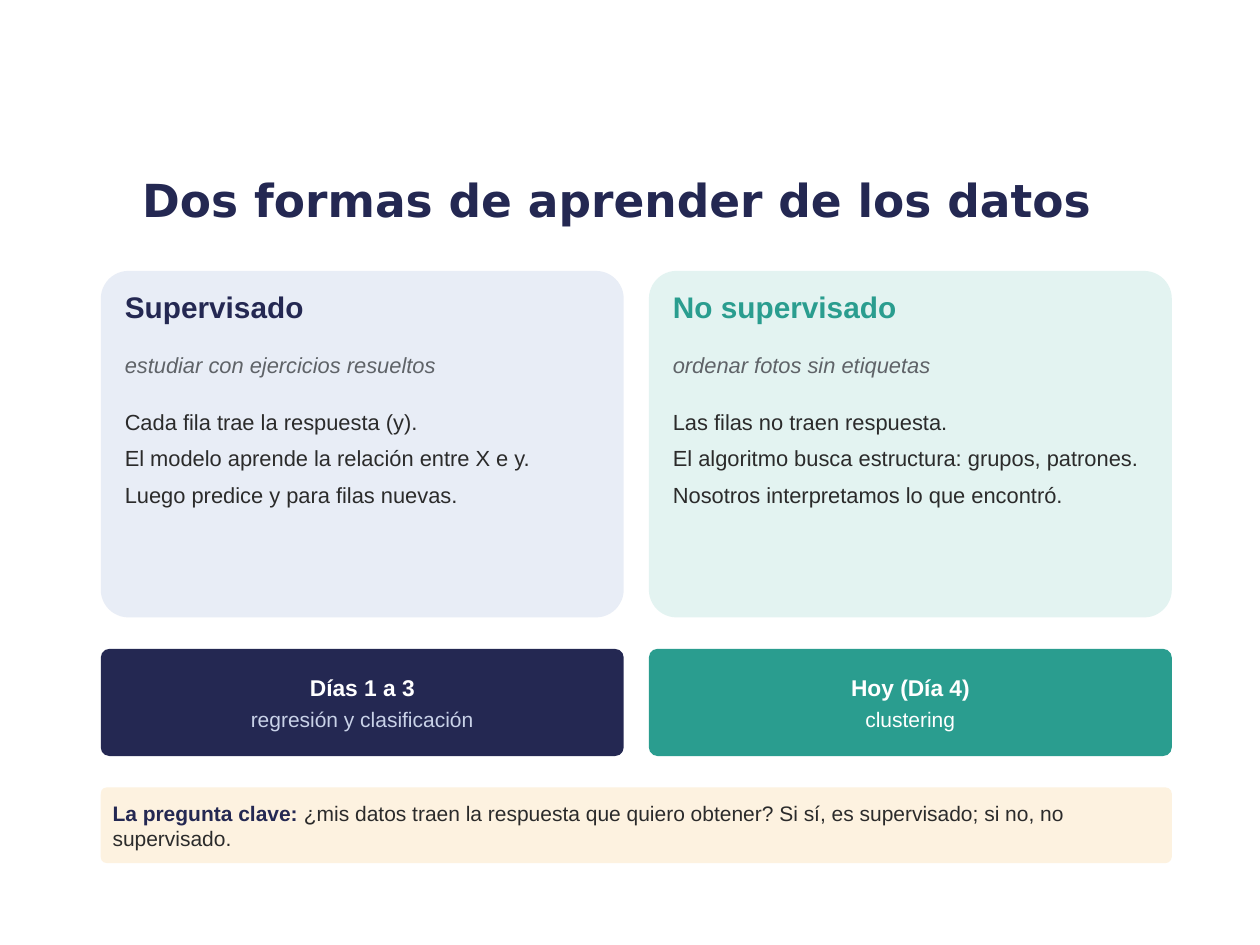
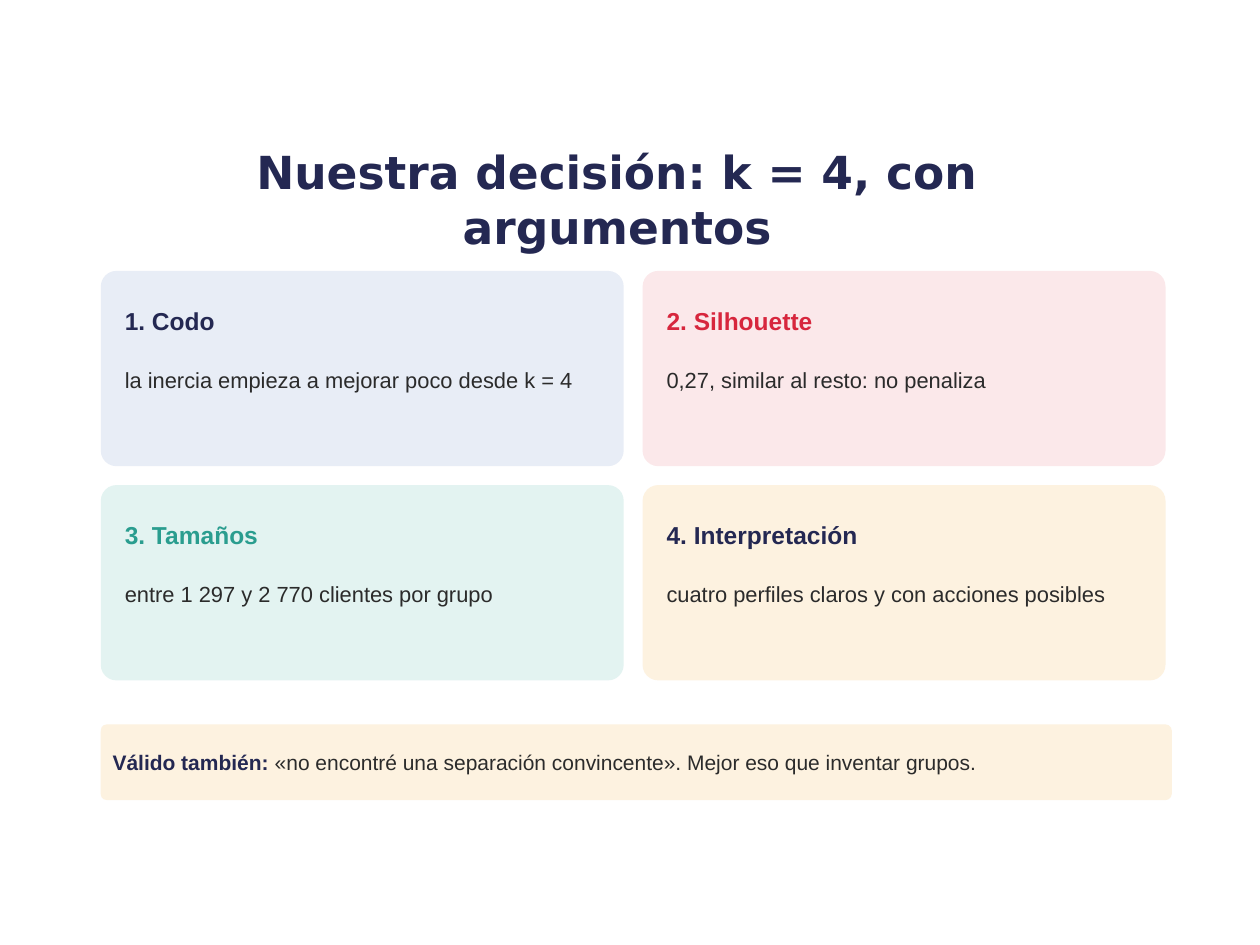
"""Builds two slides on supervised learning, clustering and the choice of k."""
from pptx import Presentation
from pptx.dml.color import RGBColor
from pptx.enum.shapes import MSO_SHAPE
from pptx.enum.text import MSO_ANCHOR, PP_ALIGN
from pptx.util import Inches, Pt

COLOURS = {
    "navy": "242852", "teal": "2A9D8F", "red": "D7263D", "white": "FFFFFF",
    "ink": "2B2B2B", "grey": "5F6368", "mist": "C9D2E8",
    "pale_blue": "E8EDF6", "pale_teal": "E3F3F1",
    "pale_red": "FBE8EA", "cream": "FDF2E0",
}
LEFT, TOP, CARD_WIDTH, FULL_WIDTH = 0.8, 2.15, 4.15, 8.5
PADDING, TEXT_WIDTH = 0.15, 3.85


class SlideBuilder:
    body_font, title_font = "Arial", "DejaVu Sans"

    def __init__(self, deck):
        self.deck = deck
        self.slide = None

    def start(self, title):
        self.slide = self.deck.slides.add_slide(self.deck.slide_layouts[6])
        box = self.slide.shapes.add_textbox(
            Inches(0.75), Inches(1.18), Inches(8.3), Inches(0.8))
        self.fill_text(box, [[(title, 26, "navy", "bold")]], 0, inset=(0.1, 0.05),
                       anchor=MSO_ANCHOR.MIDDLE, align=PP_ALIGN.CENTER,
                       font=self.title_font)

    def fill_text(self, box, paragraphs, space_after, inset, anchor, align,
                  font=body_font):
        frame = box.text_frame
        frame.word_wrap = True
        frame.vertical_anchor = anchor
        frame.margin_left = frame.margin_right = Inches(inset[0])
        frame.margin_top = frame.margin_bottom = Inches(inset[1])
        for index, spans in enumerate(paragraphs):
            para = frame.add_paragraph() if index else frame.paragraphs[0]
            para.alignment = align
            para.space_after = Pt(space_after)
            for text, size, colour, style in spans:
                span = para.add_run()
                span.text = text
                span.font.name = font
                span.font.size = Pt(size)
                span.font.bold = style == "bold"
                span.font.italic = style == "italic"
                span.font.color.rgb = RGBColor.from_string(COLOURS[colour])

    def text(self, left, top, height, lines, size, colour, style="plain",
             space_after=4, anchor=MSO_ANCHOR.TOP):
        box = self.slide.shapes.add_textbox(
            Inches(left), Inches(top), Inches(TEXT_WIDTH), Inches(height))
        self.fill_text(box, [[(line, size, colour, style)] for line in lines],
                       space_after, (0.04, 0.04), anchor, PP_ALIGN.LEFT)

    def panel(self, left, top, width, height, fill, paragraphs=(), align=PP_ALIGN.LEFT):
        shape = self.slide.shapes.add_shape(
            MSO_SHAPE.ROUNDED_RECTANGLE,
            Inches(left), Inches(top), Inches(width), Inches(height))
        shape.adjustments[0] = 0.08
        shape.shadow.inherit = False
        shape.fill.solid()
        shape.fill.fore_color.rgb = RGBColor.from_string(COLOURS[fill])
        shape.line.fill.background()
        self.fill_text(shape, paragraphs, 3, (0.08, 0.08), MSO_ANCHOR.MIDDLE, align)

    def note(self, top, label, message):
        self.panel(LEFT, top, FULL_WIDTH, 0.6, "cream",
                   [[(label, 12, "navy", "bold"), (message, 12, "ink", "plain")]])


def build_learning_slide(builder):
    builder.start("Dos formas de aprender de los datos")
    columns = [
        ("Supervisado", "navy", "pale_blue", "estudiar con ejercicios resueltos",
         ["Cada fila trae la respuesta (y).",
          "El modelo aprende la relación entre X e y.",
          "Luego predice y para filas nuevas."],
         "Días 1 a 3", "regresión y clasificación", "mist"),
        ("No supervisado", "teal", "pale_teal", "ordenar fotos sin etiquetas",
         ["Las filas no traen respuesta.",
          "El algoritmo busca estructura: grupos, patrones.",
          "Nosotros interpretamos lo que encontró."],
         "Hoy (Día 4)", "clustering", "white"),
    ]
    for index, column in enumerate(columns):
        heading, accent, fill, analogy, points, days, topic, topic_colour = column
        left = LEFT + index * (CARD_WIDTH + 0.2)
        inner = left + PADDING
        builder.panel(left, TOP, CARD_WIDTH, 2.75, fill)
        builder.text(inner, 2.25, 0.45, [heading], 17, accent, "bold")
        builder.text(inner, 2.75, 0.4, [analogy], 12.5, "grey", "italic")
        builder.text(inner, 3.2, 1.6, points, 12.5, "ink", space_after=6)
        builder.panel(left, 5.15, CARD_WIDTH, 0.85, accent,
                      [[(days, 13, "white", "bold")],
                       [(topic, 12, topic_colour, "plain")]], PP_ALIGN.CENTER)
    builder.note(6.25, "La pregunta clave: ",
                 "¿mis datos traen la respuesta que quiero obtener? "
                 "Si sí, es supervisado; si no, no supervisado.")


def build_decision_slide(builder):
    builder.start("Nuestra decisión: k = 4, con argumentos")
    arguments = [
        ("1. Codo", "navy", "pale_blue", "la inercia empieza a mejorar poco desde k = 4"),
        ("2. Silhouette", "red", "pale_red", "0,27, similar al resto: no penaliza"),
        ("3. Tamaños", "teal", "pale_teal", "entre 1 297 y 2 770 clientes por grupo"),
        ("4. Interpretación", "navy", "cream",
         "cuatro perfiles claros y con acciones posibles"),
    ]
    height, gap = 1.55, 0.15
    for index, (heading, accent, fill, reason) in enumerate(arguments):
        row, column = divmod(index, 2)
        left = LEFT + column * (CARD_WIDTH + gap)
        top = TOP + row * (height + gap)
        builder.panel(left, top, CARD_WIDTH, height, fill)
        builder.text(left + PADDING, top + 0.12, 0.55, [heading], 14, accent, "bold",
                     anchor=MSO_ANCHOR.MIDDLE)
        builder.text(left + PADDING, top + 0.72, 0.75, [reason], 12.5, "ink")
    builder.note(5.75, "Válido también: ",
                 "«no encontré una separación convincente». "
                 "Mejor eso que inventar grupos.")


def main():
    deck = Presentation()
    deck.slide_width, deck.slide_height = Inches(10), Inches(7.5)
    builder = SlideBuilder(deck)
    build_learning_slide(builder)
    build_decision_slide(builder)
    deck.save("out.pptx")


if __name__ == "__main__":
    main()
